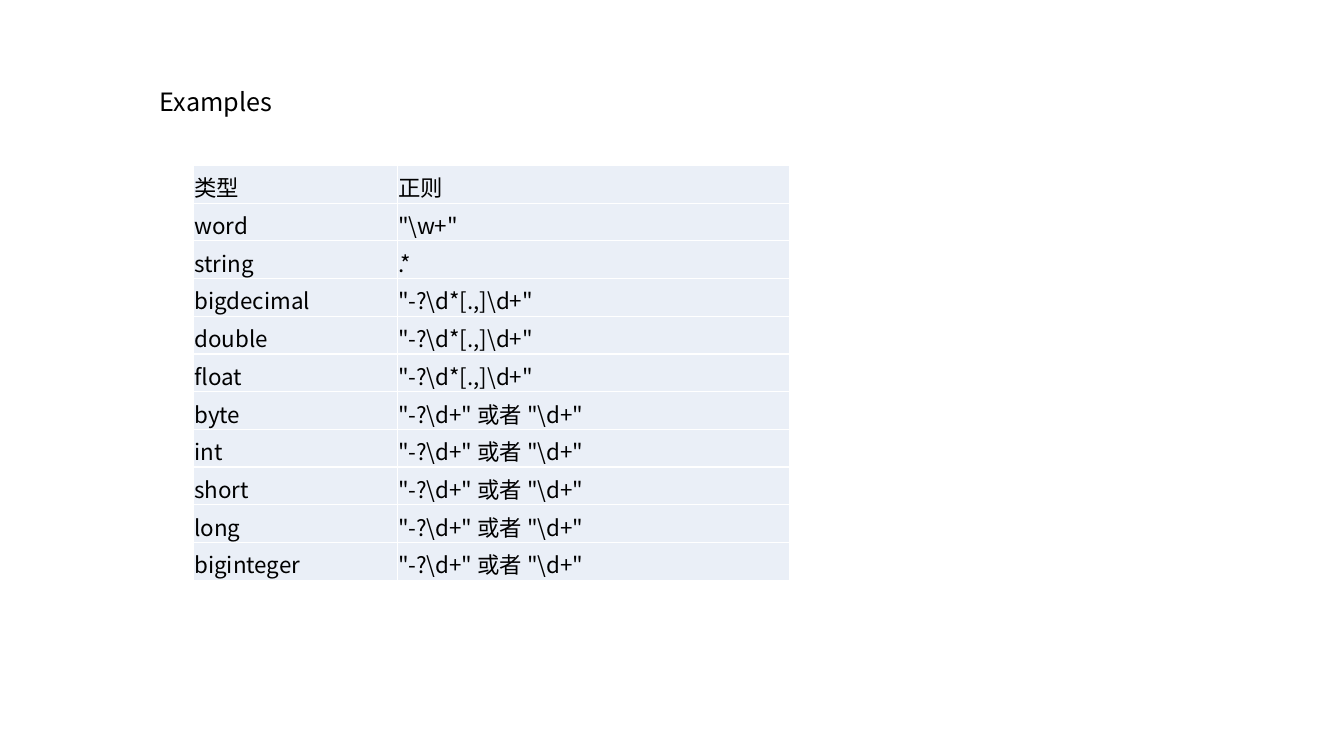
"""Builds a slide that lists regular expressions by data type."""
from lxml.etree import SubElement
from pptx import Presentation
from pptx.dml.color import RGBColor
from pptx.enum.text import MSO_ANCHOR, MSO_AUTO_SIZE
from pptx.oxml.ns import qn
from pptx.util import Cm, Pt

FONT = "Noto Sans CJK SC"
COLORS = {"text": "000000", "cell": "EAEFF7", "border": "FFFFFF"}
DECIMAL = r'"-?\d*[.,]\d+"'
INTEGER = r'"-?\d+" 或者 "\d+"'
ROWS = [
    ("类型", "正则"),
    ("word", r'"\w+"'),
    ("string", ".*"),
    *((name, DECIMAL) for name in ("bigdecimal", "double", "float")),
    *((name, INTEGER) for name in ("byte", "int", "short", "long", "biginteger")),
]
COLUMN_WIDTHS = (Cm(5.13), Cm(9.88))
ROW_HEIGHT = Cm(0.95)


def write(tf, text, size=16, color="text", font=FONT):
    r = tf.paragraphs[0].add_run()
    r.text = text
    r.font.size = Pt(size)
    r.font.color.rgb = RGBColor.from_string(COLORS[color])
    r.font.name = font
    SubElement(r.font._element, qn("a:ea"), typeface=font)


def add_heading(s, text, left, top, width, height):
    sp = s.shapes.add_textbox(left, top, width, height)
    tf = sp.text_frame
    tf.word_wrap = True
    tf.auto_size = MSO_AUTO_SIZE.SHAPE_TO_FIT_TEXT
    write(tf, text, size=18)


def add_borders(cell, color="border", width=Pt(1)):
    tcPr = cell._tc.get_or_add_tcPr()
    for side in ("lnL", "lnR", "lnT", "lnB"):
        ln = SubElement(tcPr, qn(f"a:{side}"), w=str(width))
        fill = SubElement(ln, qn("a:solidFill"))
        SubElement(fill, qn("a:srgbClr"), val=COLORS[color])


def format_cell(cell, text):
    cell.vertical_anchor = MSO_ANCHOR.BOTTOM
    cell.margin_left = cell.margin_right = cell.margin_top = Cm(0.02)
    cell.margin_bottom = 0
    add_borders(cell)
    cell.fill.solid()
    cell.fill.fore_color.rgb = RGBColor.from_string(COLORS["cell"])
    write(cell.text_frame, text)


def add_regex_table(s, rows, left, top):
    table = s.shapes.add_table(
        len(rows), len(COLUMN_WIDTHS), left, top,
        sum(COLUMN_WIDTHS), ROW_HEIGHT * len(rows),
    ).table
    table.first_row = table.horz_banding = False
    for column, width in zip(table.columns, COLUMN_WIDTHS):
        column.width = width
    for row, texts in zip(table.rows, rows):
        row.height = ROW_HEIGHT
        for cell, text in zip(row.cells, texts):
            format_cell(cell, text)


def main():
    prs = Presentation()
    prs.slide_width, prs.slide_height = Cm(33.87), Cm(19.05)
    s = prs.slides.add_slide(prs.slide_layouts[6])
    add_heading(s, "Examples", Cm(3.78), Cm(2.06), Cm(9.37), Cm(1.04))
    add_regex_table(s, ROWS, Cm(4.88), Cm(4.17))
    prs.save("out.pptx")


if __name__ == "__main__":
    main()
